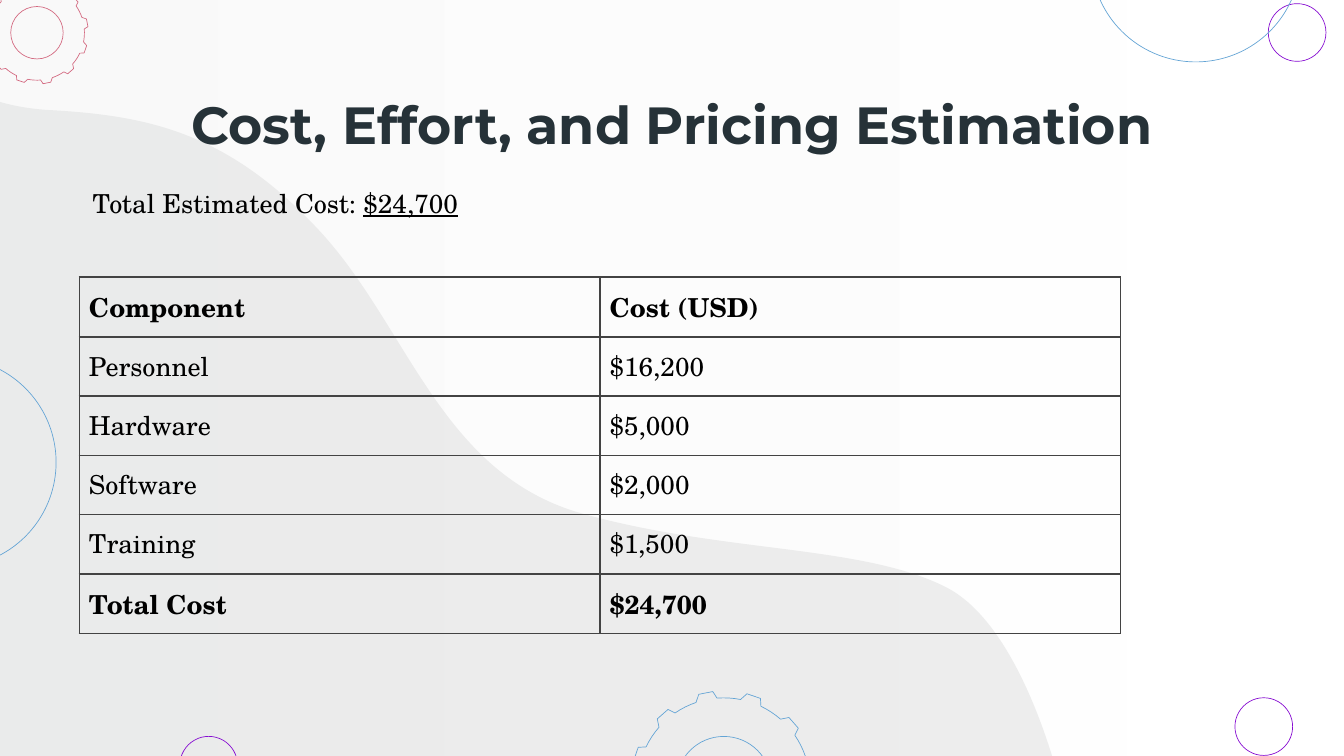
import math

import pptx
import pptx.dml.color
import pptx.enum.shapes
import pptx.enum.text
import pptx.oxml
import pptx.oxml.ns
import pptx.util
from lxml import etree
from pptx.util import Cm

COLORS = {
    "title": "263238",
    "text": "000000",
    "border": "434343",
    "wave": "D6D7D7",
    "haze_light": "FFFFFF",
    "haze_dark": "F3F3F3",
    "blue": "63A4D5",
    "purple": "860CD1",
    "pink": "D36980",
}
BODY_FONT = "TeX Gyre Schola"
BACKDROP_OPACITY = 41

WAVE = [
    [(-0.86, 1.57)],
    [(-0.86, 15.39)],
    [(20.17, 15.39)],
    [(20.14, 15.19), (19.43, 11.89), (17.88, 11.1)],
    [(16.28, 10.29), (13.67, 10.46), (10.97, 9.7)],
    [(8.28, 8.92), (7.7, 6.1), (5.97, 4.29)],
    [(4.27, 2.49), (2.77, 2.18), (0.91, 2.08)],
    [(0.1, 2.03), (-0.43, 1.8), (-0.86, 1.57)],
]
CIRCLES = [
    (-2.9, 6.76, 3.96, "blue"),
    (23.97, 0.07, 1.09, "purple"),
    (23.34, 13.19, 1.09, "purple"),
    (20.62, -2.79, 3.96, "blue"),
    (3.4, 13.92, 1.09, "purple"),
]
GEARS = [(0.7, 0.62, 0.97, "pink"), (13.68, 14.82, 1.76, "blue")]
COSTS = [
    ("Component", "Cost (USD)"),
    ("Personnel", "$16,200"),
    ("Hardware", "$5,000"),
    ("Software", "$2,000"),
    ("Training", "$1,500"),
    ("Total Cost", "$24,700"),
]


def rgb(name):
    return pptx.dml.color.RGBColor.from_string(COLORS[name])


def set_opacity(fill_element):
    for color in fill_element.iter(pptx.oxml.ns.qn("a:srgbClr")):
        alpha = etree.SubElement(color, pptx.oxml.ns.qn("a:alpha"))
        alpha.set("val", str(BACKDROP_OPACITY * 1000))


def style_outline(shape, color):
    shape.shadow.inherit = False
    shape.fill.background()
    shape.line.color.rgb = rgb(color)
    shape.line.width = pptx.util.Pt(0.36)


def style_runs(paragraph, font, size, color, bold=False):
    for run in paragraph.runs:
        run.font.name = font
        run.font.size = pptx.util.Pt(size)
        run.font.color.rgb = rgb(color)
        run.font.bold = bold


def set_margins(box, margin):
    box.margin_left = box.margin_right = Cm(margin)
    box.margin_top = box.margin_bottom = Cm(margin)


def bend_segment(shape, line, controls):
    line.tag = pptx.oxml.ns.qn("a:cubicBezTo")
    for position, (x, y) in enumerate(controls):
        point = etree.Element(pptx.oxml.ns.qn("a:pt"))
        point.set("x", str(Cm(x) - shape.left))
        point.set("y", str(Cm(y) - shape.top))
        line.insert(position, point)


def add_outline(slide, contours):
    builder = None
    for contour in contours:
        start, *ends = [(Cm(x), Cm(y)) for x, y in (segment[-1] for segment in contour)]
        if builder is None:
            builder = slide.shapes.build_freeform(*start)
        else:
            builder.move_to(*start)
        builder.add_line_segments(ends)
    shape = builder.convert_to_shape()
    lines = list(shape._element.iter(pptx.oxml.ns.qn("a:lnTo")))
    segments = [segment for contour in contours for segment in contour[1:]]
    for line, segment in zip(lines, segments):
        if len(segment) == 3:
            bend_segment(shape, line, segment[:2])
    return shape


def add_haze(slide):
    haze = slide.shapes.add_shape(
        pptx.enum.shapes.MSO_SHAPE.RECTANGLE, Cm(-0.18), Cm(-0.18), Cm(25.76), Cm(14.66)
    )
    haze.shadow.inherit = False
    haze.line.fill.background()
    haze.fill.gradient()
    haze.fill.gradient_angle = 180
    for stop, color in zip(haze.fill.gradient_stops, ("haze_light", "haze_dark")):
        stop.color.rgb = rgb(color)
    set_opacity(haze._element.spPr)


def add_wave(slide):
    wave = add_outline(slide, [WAVE])
    wave.shadow.inherit = False
    wave.line.fill.background()
    wave.fill.solid()
    wave.fill.fore_color.rgb = rgb("wave")
    set_opacity(wave._element.spPr)


def add_circle(slide, left, top, diameter, color):
    circle = slide.shapes.add_shape(
        pptx.enum.shapes.MSO_SHAPE.OVAL, Cm(left), Cm(top), Cm(diameter), Cm(diameter)
    )
    style_outline(circle, color)


def add_gear(slide, center_x, center_y, radius, color, teeth=12):
    def point(angle, distance):
        turn = math.radians(angle)
        return center_x + distance * math.cos(turn), center_y - distance * math.sin(turn)

    def arc(start, end, distance):
        pull = 4 / 3 * math.tan(math.radians(end - start) / 4)
        reach = distance * math.hypot(1, pull)
        lean = math.degrees(math.atan(pull))
        return [point(start + lean, reach), point(end - lean, reach), point(end, distance)]

    root, hole, pitch = radius * 0.925, radius * 0.511, 360 / teeth
    rim = [[point(4.5, root)]]
    for tooth in range(teeth):
        turn = tooth * pitch
        rim += [[point(turn + 6.8, radius)], [point(turn + 15.6, radius)]]
        rim += [[point(turn + 18.8, root)], arc(turn + 18.8, turn + pitch + 4.5, root)]
    bore = [[point(0, hole)]] + [arc(angle, angle + 90, hole) for angle in range(0, 360, 90)]
    style_outline(add_outline(slide, [rim, bore]), color)


def add_total(slide):
    frame = slide.shapes.add_textbox(Cm(1.5), Cm(3.2), Cm(22.4), Cm(9.09)).text_frame
    frame.word_wrap = True
    set_margins(frame, 0.25)
    summary = frame.paragraphs[0]
    summary.line_spacing = 1.15
    for text, underlined in (("Total Estimated Cost: ", False), ("$24,700", True)):
        run = summary.add_run()
        run.text = text
        run.font.underline = underlined
    style_runs(summary, BODY_FONT, 14, "text")


def place_title(slide):
    title = slide.shapes.title
    slide.shapes._spTree.append(title._element)
    title.left, title.top, title.width, title.height = Cm(1.98), Cm(1.83), Cm(21.44), Cm(1.02)
    frame = title.text_frame
    frame.text = "Cost, Effort, and Pricing Estimation"
    frame.word_wrap = True
    frame.auto_size = pptx.enum.text.MSO_AUTO_SIZE.NONE
    frame.vertical_anchor = pptx.enum.text.MSO_ANCHOR.MIDDLE
    set_margins(frame, 0.25)
    frame.paragraphs[0].alignment = pptx.enum.text.PP_ALIGN.CENTER
    style_runs(frame.paragraphs[0], "Montserrat", 28, "title", bold=True)


def add_borders(cell):
    properties = cell._tc.get_or_add_tcPr()
    for position, side in enumerate(("lnL", "lnR", "lnT", "lnB")):
        border = pptx.oxml.parse_xml(
            f'<a:{side} {pptx.oxml.ns.nsdecls("a")} w="{pptx.util.Pt(1)}"><a:solidFill>'
            f'<a:srgbClr val="{COLORS["border"]}"/></a:solidFill></a:{side}>'
        )
        properties.insert(position, border)


def add_cost_table(slide):
    table = slide.shapes.add_table(
        len(COSTS), 2, Cm(1.5), Cm(5.24), Cm(19.68), Cm(1.12 * len(COSTS))
    ).table
    table.first_row = table.horz_banding = False
    for row, entries in enumerate(COSTS):
        for column, entry in enumerate(entries):
            cell = table.cell(row, column)
            cell.text = entry
            cell.fill.background()
            set_margins(cell, 0.18)
            add_borders(cell)
            emphasized = row in (0, len(COSTS) - 1)
            style_runs(cell.text_frame.paragraphs[0], BODY_FONT, 14, "text", emphasized)


def main():
    deck = pptx.Presentation()
    deck.slide_width, deck.slide_height = Cm(25.4), Cm(14.29)
    slide = deck.slides.add_slide(deck.slide_layouts[5])
    add_haze(slide)
    add_wave(slide)
    for circle in CIRCLES:
        add_circle(slide, *circle)
    for gear in GEARS:
        add_gear(slide, *gear)
    add_total(slide)
    place_title(slide)
    add_cost_table(slide)
    deck.save("out.pptx")


if __name__ == "__main__":
    main()
